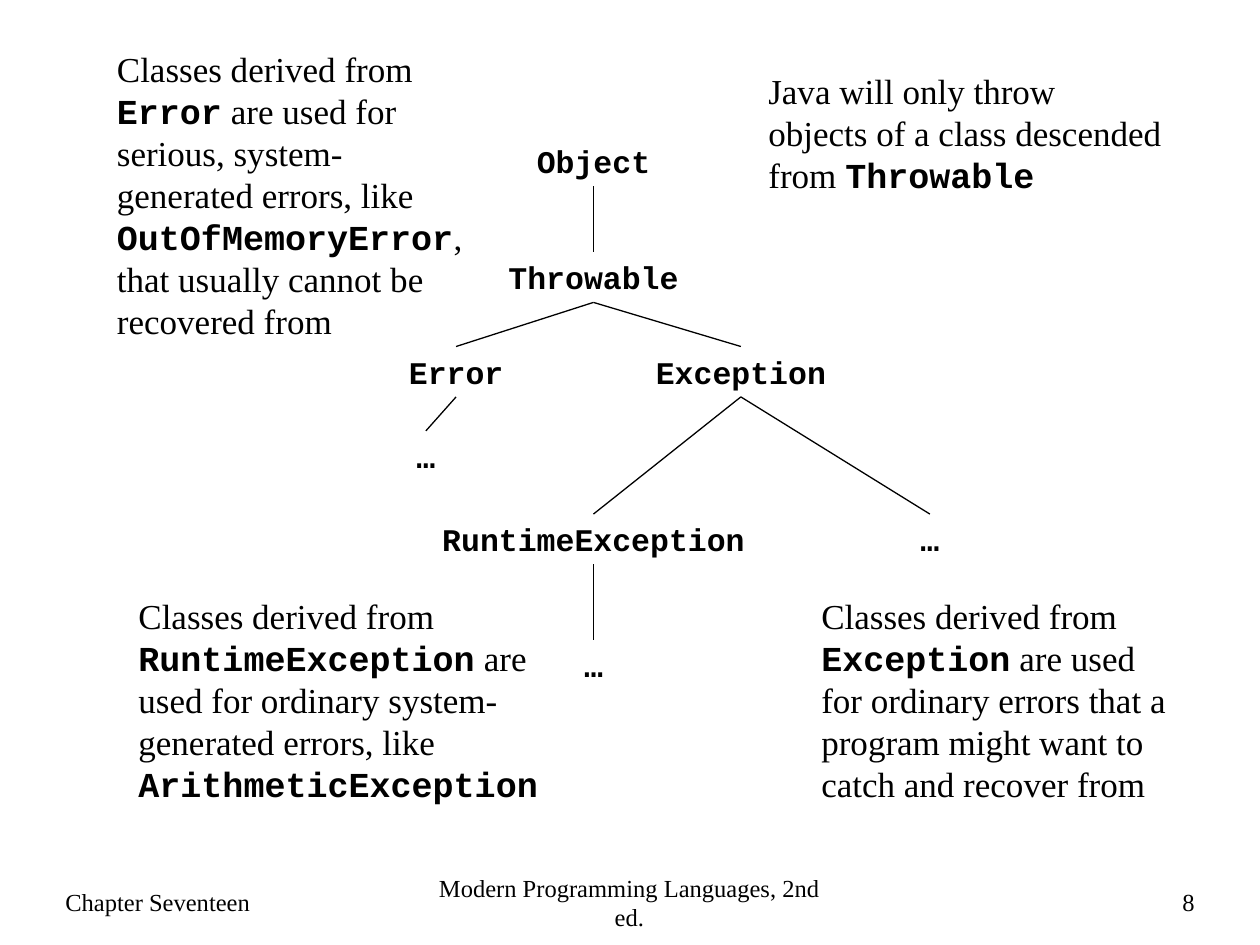
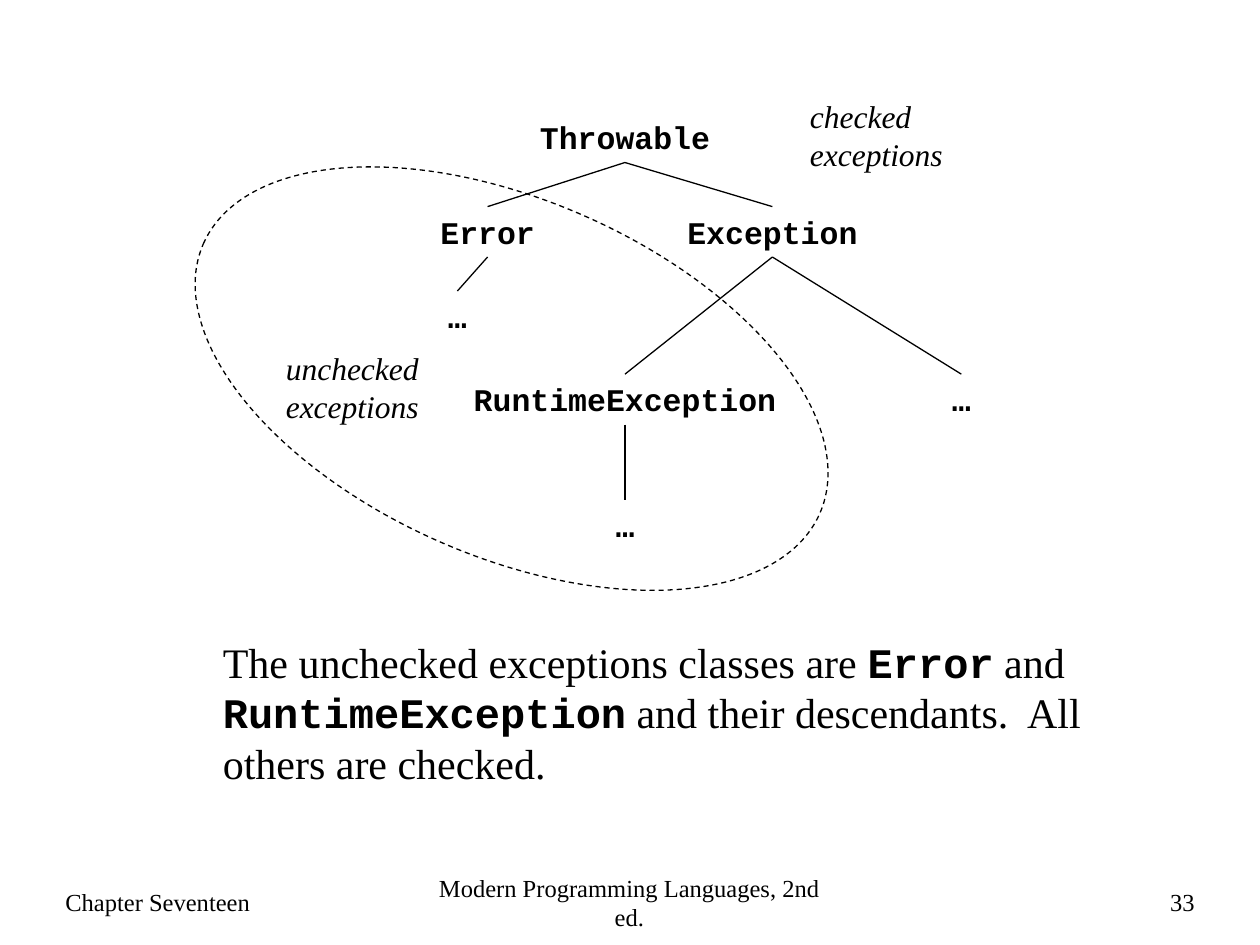
"""Build two slides on the Java exception class hierarchy."""
from lxml import etree
from pptx import Presentation, util as u
from pptx.dml.color import RGBColor
from pptx.enum import dml, shapes, text
from pptx.oxml import ns

BLACK = "000000"
SERIF, CODE = "Times New Roman", "Courier New"
LEFT, CENTER, RIGHT = text.PP_ALIGN.LEFT, text.PP_ALIGN.CENTER, text.PP_ALIGN.RIGHT
NODE_HEIGHT = 0.4


def rgb(color):
    return RGBColor.from_string(color)


def add_text(slide, box, content, size, font=SERIF, align=LEFT, bold=False,
             italic=False, wrap=True, anchor=text.MSO_ANCHOR.TOP):
    """Add a text box; backticks in the content mark bold code words."""
    frame = slide.shapes.add_textbox(*map(u.Inches, box)).text_frame
    frame.word_wrap = wrap
    frame.vertical_anchor = anchor
    for number, line in enumerate(content.split("\n")):
        paragraph = frame.add_paragraph() if number else frame.paragraphs[0]
        paragraph.alignment = align
        paragraph.font.size = u.Pt(size)
        paragraph.font.name = font
        paragraph.font.bold = bold
        paragraph.font.italic = italic
        paragraph.font.color.rgb = rgb(BLACK)
        for index, part in enumerate(line.split("`")):
            if part:
                run = paragraph.add_run()
                run.text = part
                run.font.name = CODE if index % 2 else font
                run.font.bold = bool(index % 2) or bold


# key: label, centre x, top, width, parent
tree = {
    "object": ("Object", 4.71, 1.08, 1.42, None),
    "throwable": ("Throwable", 4.71, 2, 1.58, "object"),
    "error": ("Error", 3.62, 2.75, 1.58, "throwable"),
    "exception": ("Exception", 5.88, 2.75, 1.58, "throwable"),
    "error child": ("…", 3.38, 3.42, 1.58, "error"),
    "runtime": ("RuntimeException", 4.71, 4.08, 2.75, "exception"),
    "exception child": ("…", 7.38, 4.08, 1.58, "exception"),
    "runtime child": ("…", 4.71, 5.08, 1.58, "runtime"),
}

# page number, tree offset, hidden tree nodes, notes as (box, content, size, italic)
pages = [
    (8, (0, 0), set(), [
        ((6, 0.5, 3.33, 1.1),
         "Java will only throw objects of a class descended from `Throwable`", 20, False),
        ((0.83, 0.33, 3, 2.43),
         "Classes derived from `Error` are used for serious, system-generated errors, "
         "like `OutOfMemoryError`, that usually cannot be recovered from", 20, False),
        ((6.42, 4.67, 3, 1.77),
         "Classes derived from `Exception` are used for ordinary errors that a program "
         "might want to catch and recover from", 20, False),
        ((1, 4.67, 3.58, 1.77),
         "Classes derived from `RuntimeException` are used for ordinary system-generated "
         "errors, like `ArithmeticException`", 20, False),
    ]),
    (33, (0.25, -1.11), {"object"}, [
        ((1.67, 5, 7.42, 1.31),
         "The unchecked exceptions classes are `Error` and `RuntimeException` and their "
         "descendants.  All others are checked.", 24, False),
        ((6.33, 0.72, 1.42, 0.71), "checked\nexceptions", 18, True),
        ((2.17, 2.72, 1.42, 0.71), "unchecked exceptions", 18, True),
    ]),
]

presentation = Presentation()
presentation.slide_width = u.Inches(10)
presentation.slide_height = u.Inches(7.5)

for page_number, (shift_x, shift_y), hidden, notes in pages:
    slide = presentation.slides.add_slide(presentation.slide_layouts[6])

    footers = [(0.42, 2.25, "Chapter Seventeen", LEFT),
               (3.33, 3.33, "Modern Programming Languages, 2nd ed.", CENTER),
               (7.5, 2.08, str(page_number), RIGHT)]
    for left, width, content, align in footers:
        add_text(slide, (left, 6.91, width, 0.5), content, 14, align=align,
                 wrap=align != CENTER, anchor=text.MSO_ANCHOR.MIDDLE)

    for box, content, size, italic in notes:
        add_text(slide, box, content, size, italic=italic)

    for key, (label, center, top, width, parent) in tree.items():
        if key in hidden:
            continue
        x, y = center + shift_x, top + shift_y
        add_text(slide, (x - width / 2, y, width, NODE_HEIGHT), label, 18, CODE, CENTER, bold=True)
        if parent and parent not in hidden:
            parent_x = tree[parent][1] + shift_x
            parent_bottom = tree[parent][2] + NODE_HEIGHT + shift_y
            branch = slide.shapes.add_connector(
                shapes.MSO_CONNECTOR.STRAIGHT, *map(u.Inches, (parent_x, parent_bottom, x, y)))
            branch.line.color.rgb = rgb(BLACK)
            branch.line.width = u.Pt(0.75)
            etree.SubElement(branch.element.spPr, ns.qn("a:effectLst"))

unchecked_area = slide.shapes.add_shape(
    shapes.MSO_SHAPE.OVAL, *map(u.Inches, (1.39, 1.59, 5.34, 2.83)))
unchecked_area.rotation = 23.6
unchecked_area.shadow.inherit = False
unchecked_area.fill.background()
unchecked_area.line.color.rgb = rgb(BLACK)
unchecked_area.line.width = u.Pt(0.75)
unchecked_area.line.dash_style = dml.MSO_LINE.DASH

presentation.save("out.pptx")
